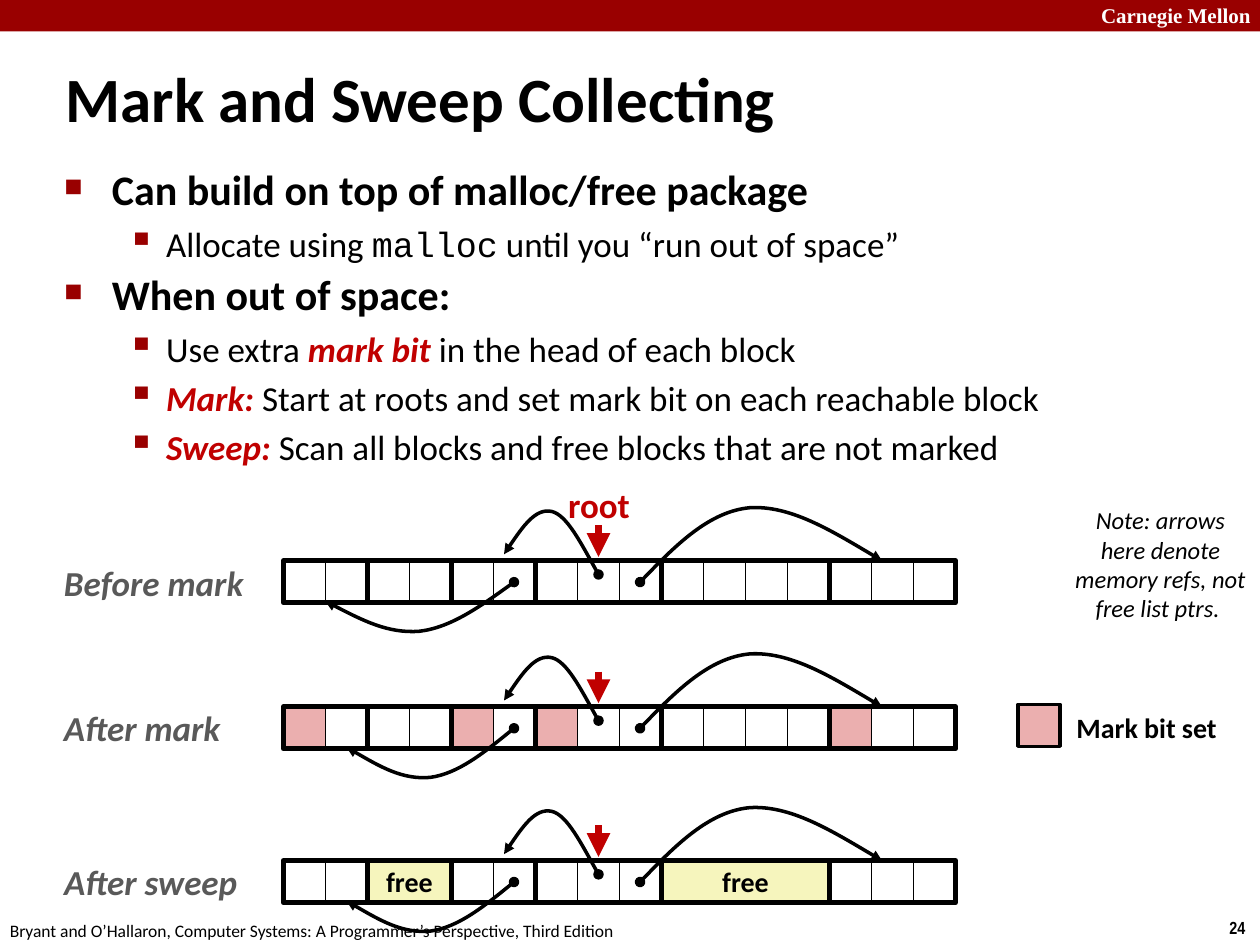
import pptx
import pptx.util
import pptx.dml.color
import pptx.enum.shapes
import pptx.enum.text
import pptx.oxml.ns
import pptx.oxml.xmlchemy
import pptx.shapes.connector

Inches, Pt, qn = pptx.util.Inches, pptx.util.Pt, pptx.oxml.ns.qn
OxmlElement = pptx.oxml.xmlchemy.OxmlElement
rgb = pptx.dml.color.RGBColor.from_string
PP_ALIGN = pptx.enum.text.PP_ALIGN
ANCHOR = pptx.enum.text.MSO_ANCHOR
RECT = pptx.enum.shapes.MSO_SHAPE.RECTANGLE
STRAIGHT = pptx.enum.shapes.MSO_CONNECTOR.STRAIGHT
BLACK, WHITE, GRAY, RED, DARK_RED = "000000", "FFFFFF", "595959", "C00000", "990000"
MARKED, FREE = "EBAFAF", "F6F5BD"


def write(p, text, size, color=BLACK, bold=False, italic=False, font="Calibri"):
    """Add one formatted run to paragraph p."""
    r = p.add_run()
    r.text = text
    r.font.name, r.font.size = font, Pt(size)
    r.font.bold, r.font.italic = bold, italic
    r.font.color.rgb = rgb(color)


def style(s, line=None, width=0, fill=None, head=None, tail=None):
    """Set outline, fill and arrowheads, and remove the theme shadow."""
    if line:
        s.line.color.rgb = rgb(line)
        s.line.width = Pt(width)
    else:
        s.line.fill.background()
    sp_pr = s._element.spPr
    for tag, kind in (("a:headEnd", head), ("a:tailEnd", tail)):
        if kind:
            end = OxmlElement(tag)
            end.set("type", kind)
            sp_pr.find(qn("a:ln")).append(end)
    if isinstance(s, pptx.shapes.connector.Connector):
        sp_pr.append(OxmlElement("a:effectLst"))
        return
    s.shadow.inherit = False
    if fill:
        s.fill.solid()
        s.fill.fore_color.rgb = rgb(fill)
    else:
        s.fill.background()


prs = pptx.Presentation()
prs.slide_width, prs.slide_height = Inches(10), Inches(7.5)
slide = prs.slides.add_slide(prs.slide_layouts[5])
shapes = slide.shapes

# Banner and title
banner = shapes.add_shape(RECT, 0, 0, prs.slide_width, Inches(0.25))
style(banner, fill=DARK_RED)

title = shapes.title
title.left, title.top = Inches(0.42), Inches(0.5)
title.width, title.height = Inches(7.82), Inches(0.63)
tf = title.text_frame
tf.auto_size = pptx.enum.text.MSO_AUTO_SIZE.NONE
tf.vertical_anchor = ANCHOR.MIDDLE
p = tf.paragraphs[0]
p.alignment, p.line_spacing = PP_ALIGN.LEFT, 0.87
write(p, "Mark and Sweep Collecting", 36, bold=True)

# Bulleted text: level, then runs as (text, look)
term = dict(color=RED, bold=True, italic=True)
bullets = [
    (0, [("Can build on top of malloc/free package", {})]),
    (1, [("Allocate using ", {}), ("malloc", dict(font="Courier New")),
         (" until you “run out of space”", {})]),
    (0, [("When out of space:", {})]),
    (1, [("Use extra ", {}), ("mark bit ", term), ("in the head of each block", {})]),
    (1, [("Mark: ", term), ("Start at roots and set mark bit on each reachable block", {})]),
    (1, [("Sweep: ", term), ("Scan all blocks and free blocks that are not marked", {})]),
]
# size, bold, left margin, indent, line spacing, bullet, bullet size in %
levels = [(24, True, 0.38, -0.38, 0.95, "■", 60),
          (20, False, 0.81, -0.31, 1.0, "▪", 110)]
body = shapes.add_textbox(Inches(0.41), Inches(1.28), Inches(9.09), Inches(2.63))
tf = body.text_frame
tf.word_wrap = True
for i, (level, runs) in enumerate(bullets):
    size, bold, margin, indent, spacing, char, percent = levels[level]
    p = tf.add_paragraph() if i else tf.paragraphs[0]
    p.level, p.line_spacing = level, spacing
    if i:
        p.space_before = Pt(size * 0.2)
    pPr = p._p.get_or_add_pPr()
    pPr.set("marL", str(Inches(margin)))
    pPr.set("indent", str(Inches(indent)))
    bu_clr = OxmlElement("a:buClr")
    srgb = OxmlElement("a:srgbClr")
    srgb.set("val", DARK_RED)
    bu_clr.append(srgb)
    bu_size = OxmlElement("a:buSzPct")
    bu_size.set("val", str(percent * 1000))
    bu_char = OxmlElement("a:buChar")
    bu_char.set("char", char)
    pPr.extend([bu_clr, bu_size, bu_char])
    for text, look in runs:
        write(p, text, size, **{"bold": bold, **look})

# Heap rows: every position follows from the cell grid
CELL, LEFT = 1 / 3, 2.25
BLOCKS = [2, 2, 2, 3, 4, 3]
root_curve = [(4.75, 0.11), (4.62, -0.12), (4.5, -0.36), (4.38, -0.39),
              (4.25, -0.42), (4.12, -0.23), (4, -0.05)]
right_curve = [(5.08, 0.17), (5.35, -0.11), (5.63, -0.39), (5.95, -0.42),
               (6.27, -0.44), (6.63, -0.22), (7, 0)]
lower_dy = [0.17, 0.35, 0.53, 0.56, 0.58, 0.45, 0.32]
# top, x where the lower curve ends, marked cells, freed blocks
rows = [(4.45, 2.58, (), ()),
        (5.61, 2.75, (0, 4, 6, 13), ()),
        (6.83, 2.75, (), (1, 4))]
for top, lower_end, marked, freed in rows:
    for cell in marked:
        s = shapes.add_shape(RECT, Inches(LEFT + cell * CELL), Inches(top),
                             Inches(CELL), Inches(CELL))
        style(s, BLACK, 0.75, MARKED)

    lower_curve = [(4.08 + (lower_end - 4.08) * k / 6, dy) for k, dy in enumerate(lower_dy)]
    for curve in (root_curve, right_curve, lower_curve):
        points = [(Inches(x), Inches(top + dy)) for x, dy in curve]
        builder = shapes.build_freeform(*points[0])
        builder.add_line_segments(points[1:], close=False)
        s = builder.convert_to_shape()
        # Turn each three line segments into one cubic curve
        outline = s._element.spPr.find(".//" + qn("a:path"))
        segments = outline.findall(qn("a:lnTo"))
        for k in (0, 3):
            bezier = OxmlElement("a:cubicBezTo")
            for segment in segments[k:k + 3]:
                bezier.append(segment[0])
                outline.remove(segment)
            outline.append(bezier)
        style(s, BLACK, 2, head="oval", tail="triangle")

    root_arrow = shapes.add_connector(STRAIGHT, Inches(4.75), Inches(top - 0.28),
                                      Inches(4.75), Inches(top - 0.03))
    style(root_arrow, RED, 4.5, tail="triangle")

    first = 0
    for b, count in enumerate(BLOCKS):
        block = shapes.add_shape(RECT, Inches(LEFT + first * CELL), Inches(top),
                                 Inches(count * CELL), Inches(CELL))
        if b in freed:
            style(block, BLACK, 3, FREE)
            tf = block.text_frame
            tf.word_wrap, tf.vertical_anchor = False, ANCHOR.MIDDLE
            tf.paragraphs[0].alignment = PP_ALIGN.CENTER
            write(tf.paragraphs[0], "free", 16, bold=True)
        else:
            style(block, BLACK, 3)
            for k in range(1, count):
                x = Inches(LEFT + (first + k) * CELL)
                divider = shapes.add_connector(STRAIGHT, x, Inches(top), x, Inches(top + CELL))
                if 2 * k == count:
                    divider.begin_connect(block, 0)
                    divider.end_connect(block, 2)
                style(divider, BLACK, 1 if first + k - 1 in marked else 0.5)
        first += count

legend = shapes.add_shape(RECT, Inches(8.08), Inches(5.59), Inches(CELL), Inches(CELL))
style(legend, BLACK, 2, MARKED)

# Labels: left, top, width, height, wrap, alignment, text, size, look
row_label = dict(color=GRAY, bold=True, italic=True)
L, C = PP_ALIGN.LEFT, PP_ALIGN.CENTER
labels = [
    (8.64, -0.03, 1.43, 0.3, True, L, "Carnegie Mellon", 12,
     dict(color=WHITE, bold=True, font="Times New Roman")),
    (9.66, 7.23, 0.34, 0.27, False, L, "24", 10, dict(bold=True, font="Arial Narrow")),
    (-0.02, 7.25, 5.08, 0.27, False, L, "Bryant and O’Hallaron, Computer Systems: "
     "A Programmer’s Perspective, Third Edition", 10, {}),
    (0.41, 4.41, 1.64, 0.44, False, L, "Before mark", 20, row_label),
    (0.41, 5.56, 1.46, 0.44, False, L, "After mark", 20, row_label),
    (0.41, 6.78, 1.61, 0.44, False, L, "After sweep", 20, row_label),
    (4.41, 3.79, 0.69, 0.44, False, L, "root", 20, dict(color=RED, bold=True)),
    (8.44, 5.59, 1.32, 0.37, False, C, "Mark bit set", 16, dict(bold=True)),
    (8.42, 3.96, 1.58, 1.04, True, C,
     "Note: arrows here denote memory refs, not free list ptrs. ", 14, dict(italic=True)),
]
for left, top, width, height, wrap, align, text, size, look in labels:
    box = shapes.add_textbox(Inches(left), Inches(top), Inches(width), Inches(height))
    tf = box.text_frame
    tf.word_wrap = wrap
    p = tf.paragraphs[0]
    p.alignment = align
    write(p, text, size, **look)

prs.save("out.pptx")
